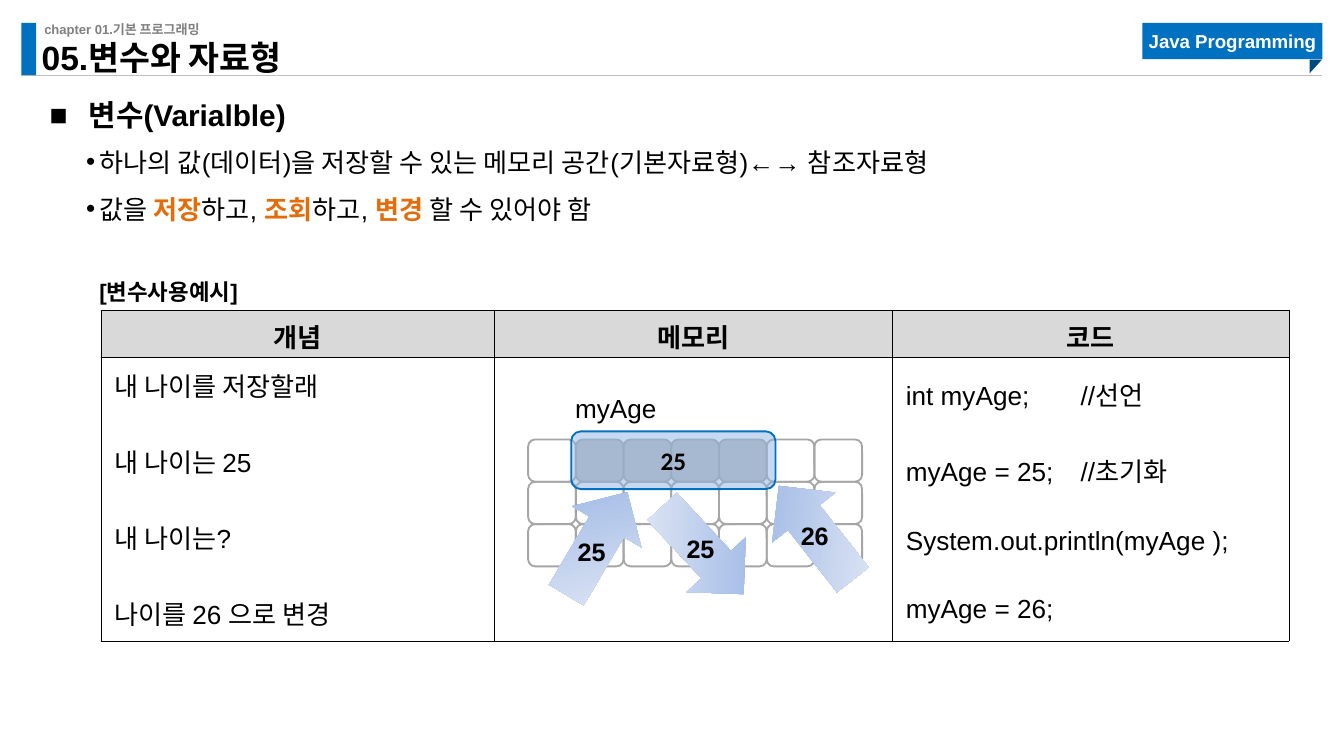
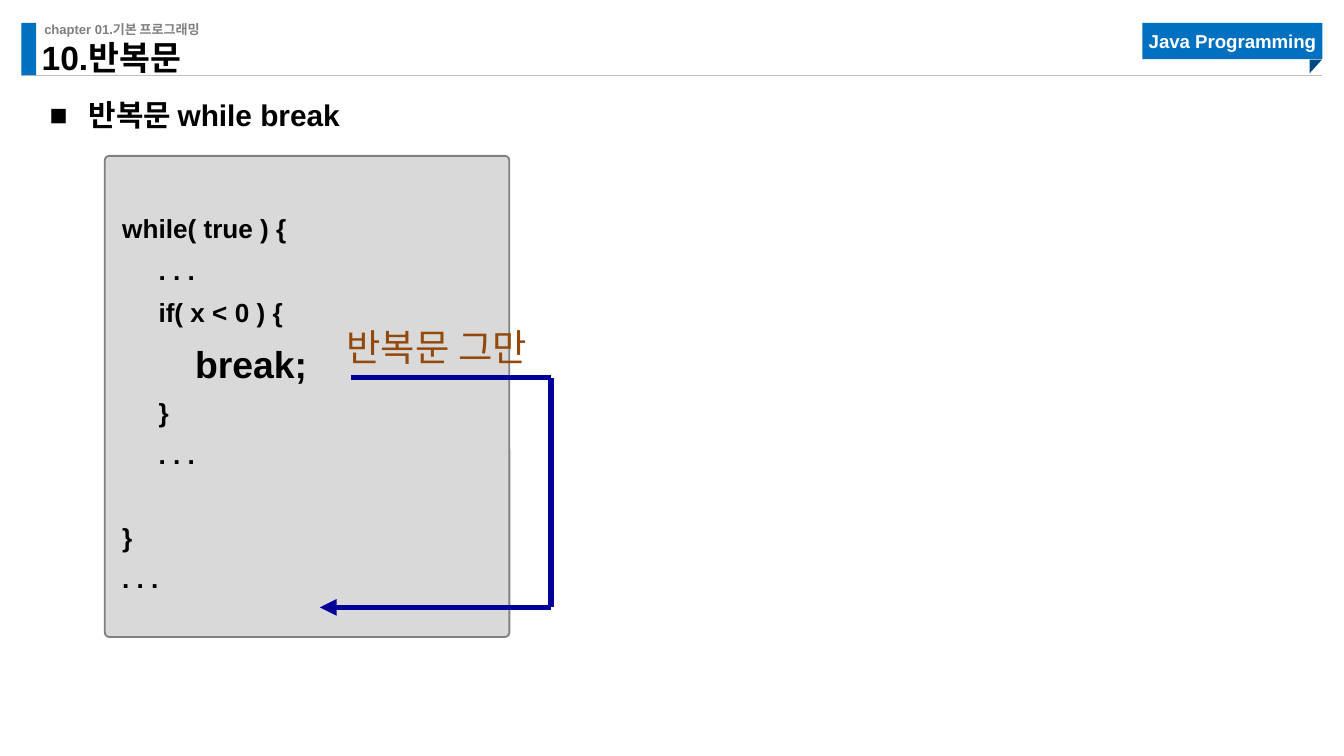
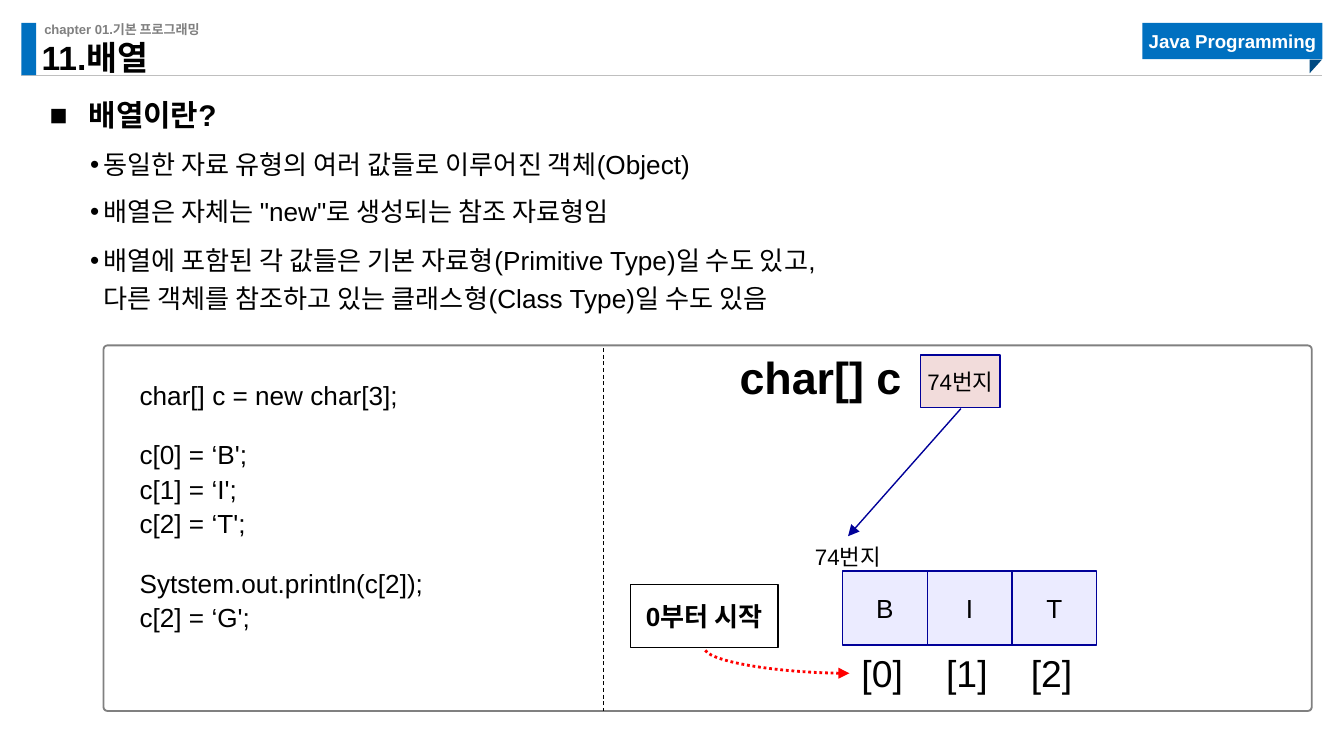
from pptx import Presentation
from pptx.dml.color import RGBColor
from pptx.enum.dml import MSO_LINE
from pptx.enum.shapes import MSO_CONNECTOR, MSO_SHAPE
from pptx.enum.text import MSO_ANCHOR, PP_ALIGN
from pptx.oxml.ns import qn
from pptx.util import Inches, Pt
from lxml import etree

RECT, ROUND = MSO_SHAPE.RECTANGLE, MSO_SHAPE.ROUNDED_RECTANGLE
TRIANGLE, DOWN_ARROW = MSO_SHAPE.RIGHT_TRIANGLE, MSO_SHAPE.DOWN_ARROW
STRAIGHT, CURVE = MSO_CONNECTOR.STRAIGHT, MSO_CONNECTOR.CURVE
DASH, DOTS = MSO_LINE.DASH, MSO_LINE.ROUND_DOT
LEFT, CENTER = PP_ALIGN.LEFT, PP_ALIGN.CENTER
TOP, MIDDLE, BOTTOM = MSO_ANCHOR.TOP, MSO_ANCHOR.MIDDLE, MSO_ANCHOR.BOTTOM

BLACK = RGBColor(0x00, 0x00, 0x00)
WHITE = RGBColor(0xFF, 0xFF, 0xFF)
BLUE = RGBColor(0x00, 0x70, 0xC0)
DARK_BLUE = RGBColor(0x00, 0x4A, 0x82)
NAVY = RGBColor(0x00, 0x00, 0x99)
GRAY = RGBColor(0x80, 0x80, 0x80)
CELL_LINE = RGBColor(0xA6, 0xA6, 0xA6)
RULE_GRAY = RGBColor(0xBF, 0xBF, 0xBF)
PANEL_GRAY = RGBColor(0xD9, 0xD9, 0xD9)
ORANGE = RGBColor(0xE4, 0x6C, 0x0A)
BROWN = RGBColor(0x93, 0x49, 0x0B)
RED = RGBColor(0xFF, 0x00, 0x00)
SKY = RGBColor(0x8E, 0xB4, 0xE3)
ARROW_DARK = RGBColor(0x9A, 0xB5, 0xE4)
ARROW_LIGHT = RGBColor(0xE1, 0xE8, 0xF5)
LAVENDER = RGBColor(0xEB, 0xEB, 0xFF)
PINK = RGBColor(0xF2, 0xDC, 0xDB)

FONT, KOREAN_FONT = "Arial", "Noto Sans CJK KR"
NO_INSET = (0, 0, 0, 0)
BOX_INSET = (0.1, 0.05, 0.1, 0.05)
SQUARE_BULLET = ("■", 0.29, -0.29)
DOT_BULLET = ("•", 0.4, -0.1)

# Content
CHAPTER = "chapter 01.기본 프로그래밍"
COURSE = "Java Programming"

KEYWORD = {"color": ORANGE, "bold": True}
VARIABLE_POINTS = [
    "하나의 값(데이터)을 저장할 수 있는 메모리 공간(기본자료형)←→ 참조자료형",
    ["값을 ", ("저장", KEYWORD), "하고, ", ("조회", KEYWORD), "하고, ",
     ("변경", KEYWORD), " 할 수 있어야 함"],
]
TABLE_HEAD = ["개념", "메모리", "코드"]
TABLE_WIDTHS = [2.93, 2.96, 2.95]
TABLE_HEIGHTS = [0.35, 2.11]
CONCEPTS = ["내 나이를 저장할래", "내 나이는 25", "내 나이는?", "나이를 26 으로 변경"]
STATEMENTS = ["int myAge;\t//선언", "myAge = 25;\t//초기화",
              "System.out.println(myAge );", "myAge = 26;"]
# arrow left, top, rotation; label, label left, label top
VALUE_ARROWS = [
    (4.14, 3.6, 210.7, "25", 4.2, 3.94),
    (4.93, 3.65, 317.1, "25", 5.01, 3.92),
    (5.77, 3.52, 141.8, "26", 5.86, 3.82),
]

WHILE_CODE = [
    "while( true ) {",
    "     . . .",
    "     if( x < 0 ) {",
    {"runs": ["          ", ("break;", {"size": 20})], "before": 10},
    "     }",
    "     . . .",
    {"runs": "}", "before": 29},
    ". . .",
]

ARRAY_POINTS = [
    "동일한 자료 유형의 여러 값들로 이루어진 객체(Object)",
    "배열은 자체는 \"new\"로 생성되는 참조 자료형임",
    {"runs": "배열에 포함된 각 값들은 기본 자료형(Primitive Type)일 수도 있고,\n"
             "다른 객체를 참조하고 있는 클래스형(Class Type)일 수도 있음",
     "spacing": 1.2, "before": 6},
]
ARRAY_CODE = [
    {"runs": "char[] c = new char[3];", "spacing": 1.0},
    {"runs": "c[0] = ‘B';", "before": 13.5},
    "c[1] = ‘I';",
    "c[2] = ‘T';",
    {"runs": "Sytstem.out.println(c[2]);", "before": 13.5},
    "c[2] = ‘G';",
]
ARRAY_VALUES = "BIT"


# Text
def add_run(p, text, size, bold, color, font):
    r = p.add_run()
    r.text = text
    r.font.size, r.font.bold = Pt(size), bold
    r.font.color.rgb = color
    r.font.name = font


def set_bullet(p, char, margin, indent):
    pPr = p._p.get_or_add_pPr()
    pPr.set("marL", str(Inches(margin)))
    pPr.set("indent", str(Inches(indent)))
    etree.SubElement(pPr, qn("a:buFont"), typeface=FONT)
    etree.SubElement(pPr, qn("a:buChar"), char=char)


def set_tab(p, position):
    tabs = etree.SubElement(p._p.get_or_add_pPr(), qn("a:tabLst"))
    etree.SubElement(tabs, qn("a:tab"), pos=str(Inches(position)), algn="l")


def write(tf, paras, size=14, bold=False, color=BLACK, font=FONT, align=LEFT,
          spacing=None, before=0, bullet=None, tab=None):
    """A paragraph is a string, a list of runs, or a dict with its own spacing."""
    style = {"size": size, "bold": bold, "color": color, "font": font}
    for i, para in enumerate([paras] if isinstance(paras, str) else paras):
        p = tf.paragraphs[0] if i == 0 else tf.add_paragraph()
        para = para if isinstance(para, dict) else {"runs": para}
        if bullet:
            set_bullet(p, *bullet)
        if tab:
            set_tab(p, tab)
        p.alignment = align
        if para.get("spacing", spacing):
            p.line_spacing = para.get("spacing", spacing)
        p.space_before = Pt(para.get("before", before) if i else 0)
        runs = para["runs"]
        for run in [runs] if isinstance(runs, str) else runs:
            text, own = (run, {}) if isinstance(run, str) else run
            for n, line in enumerate(text.split("\n")):
                if n:
                    p.add_line_break()
                add_run(p, line, **{**style, **own})


def set_frame(tf, inset=BOX_INSET, anchor=TOP, wrap=True):
    tf.margin_left, tf.margin_top, tf.margin_right, tf.margin_bottom = map(Inches, inset)
    tf.vertical_anchor, tf.word_wrap = anchor, wrap


def add_text(s, at, paras, inset=BOX_INSET, anchor=TOP, wrap=True, **style):
    tf = s.shapes.add_textbox(*map(Inches, at)).text_frame
    set_frame(tf, inset, anchor, wrap)
    write(tf, paras, **style)


# Shapes and lines
def add_box(s, kind, at, fill=None, line=None, weight=0.75, radius=None):
    sp = s.shapes.add_shape(kind, *map(Inches, at))
    sp.shadow.inherit = False
    if fill is None:
        sp.fill.background()
    else:
        sp.fill.solid()
        sp.fill.fore_color.rgb = fill
    if line is None:
        sp.line.fill.background()
    else:
        sp.line.color.rgb, sp.line.width = line, Pt(weight)
    if radius is not None:
        sp.adjustments[0] = radius
    return sp


def add_label_box(s, at, text, fill=None, line=None, **style):
    sp = add_box(s, RECT, at, fill, line)
    set_frame(sp.text_frame, NO_INSET, MIDDLE, wrap=False)
    write(sp.text_frame, text, align=CENTER, **style)


def add_line(s, start, end, color, weight, dash=None, arrow=None, kind=STRAIGHT):
    c = s.shapes.add_connector(kind, *map(Inches, start + end))
    c.line.color.rgb, c.line.width = color, Pt(weight)
    if dash:
        c.line.dash_style = dash
    if arrow:
        etree.SubElement(c.line._get_or_add_ln(), qn("a:" + arrow), type="triangle")
    etree.SubElement(c._element.spPr, qn("a:effectLst"))
    return c


# Band, title and heading of every slide
def add_slide(prs, title, heading):
    s = prs.slides.add_slide(prs.slide_layouts[6])
    add_line(s, (0.16, 0.56), (9.84, 0.56), RULE_GRAY, 0.5)
    add_box(s, RECT, (0.16, 0.17, 0.11, 0.39), BLUE)
    add_text(s, (0.33, 0.16, 3.23, 0.12), CHAPTER, NO_INSET, size=7, bold=True, color=GRAY)
    add_label_box(s, (8.5, 0.17, 1.34, 0.27), COURSE, BLUE, size=10, bold=True, color=WHITE)
    add_box(s, TRIANGLE, (9.74, 0.45, 0.1, 0.09), DARK_BLUE).rotation = 90
    add_text(s, (0.31, 0.35, 3.3, 0.23), title, NO_INSET, BOTTOM,
             size=18, bold=True, spacing=0.9)
    add_text(s, (0.37, 0.59, 9.54, 0.33), heading, NO_INSET,
             size=16, bold=True, spacing=1.5, bullet=SQUARE_BULLET)
    return s


# Slide 1
def style_cell(cell, fill=None):
    cell.vertical_anchor = MIDDLE
    tcPr = cell._tc.get_or_add_tcPr()
    for side in ("lnL", "lnR", "lnT", "lnB"):
        ln = etree.SubElement(tcPr, qn("a:" + side), w=str(Pt(0.25)))
        color = etree.SubElement(ln, qn("a:solidFill"))
        etree.SubElement(color, qn("a:srgbClr"), val=str(BLACK))
    if fill is None:
        cell.fill.background()
    else:
        cell.fill.solid()
        cell.fill.fore_color.rgb = fill


def add_example_table(s):
    frame = s.shapes.add_table(2, 3, *map(Inches, (0.75, 2.31, 8.84, 2.46)))
    table = frame.table
    table.first_row = table.horz_banding = False
    for row, height in zip(table.rows, TABLE_HEIGHTS):
        row.height = Inches(height)
    for i, (head, width) in enumerate(zip(TABLE_HEAD, TABLE_WIDTHS)):
        table.columns[i].width = Inches(width)
        style_cell(table.cell(0, i), PANEL_GRAY)
        write(table.cell(0, i).text_frame, head, bold=True, align=CENTER)
        style_cell(table.cell(1, i))
    write(table.cell(1, 0).text_frame, CONCEPTS, before=20.4)
    write(table.cell(1, 2).text_frame, STATEMENTS, before=20.4, tab=1.3)


def add_memory(s):
    left, top, width, height = 3.93, 3.27, 0.355, 0.315
    for row in range(3):
        for col in range(7):
            used = row == 0 and 1 <= col <= 4
            add_box(s, ROUND, (left + col * width, top + row * height, width, height),
                    RULE_GRAY if used else None, CELL_LINE, 1)
    add_text(s, (4.18, 2.87, 0.82, 0.34), "myAge", wrap=False)
    variable = add_box(s, ROUND, (4.25, 3.21, 1.52, 0.43), SKY, BLUE, 1)
    color = variable._element.spPr.find(qn("a:solidFill"))[0]
    etree.SubElement(color, qn("a:alpha"), val="50000")
    set_frame(variable.text_frame, anchor=MIDDLE)
    write(variable.text_frame, "25", size=13.5, bold=True, font="Calibri", align=CENTER)
    for x, y, rotation, value, label_x, label_y in VALUE_ARROWS:
        arrow = add_box(s, DOWN_ARROW, (x, y, 0.6, 0.89))
        arrow.rotation = rotation
        arrow.fill.gradient()
        arrow.fill.gradient_angle = 135
        for stop, shade in zip(arrow.fill.gradient_stops, (ARROW_DARK, ARROW_LIGHT)):
            stop.color.rgb = shade
        add_text(s, (label_x, label_y, 0.49, 0.4), value, wrap=False, size=13.5, bold=True)


def variable_slide(prs):
    s = add_slide(prs, "05.변수와 자료형", "변수(Varialble)")
    add_example_table(s)
    add_memory(s)
    add_text(s, (0.64, 2.02, 1.72, 0.3), "[변수사용예시]", size=12, bold=True)
    add_text(s, (0.34, 0.92, 7.48, 0.79), VARIABLE_POINTS, (0, 0.05, 0.1, 0.05),
             spacing=1.5, bullet=DOT_BULLET)


# Slide 2
def loop_slide(prs):
    s = add_slide(prs, "10.반복문", "반복문 while break")
    panel = add_box(s, ROUND, (0.78, 1.16, 3.01, 3.58), PANEL_GRAY, GRAY, 1, 0.011)
    set_frame(panel.text_frame, (0.12, 0.44, 0.12, 0.12))
    write(panel.text_frame, WHILE_CODE, bold=True, spacing=0.9, before=7.2)

    # Way out of the loop
    right, top, bottom = 4.1, 2.81, 4.52
    add_line(s, (2.61, top), (right, top), NAVY, 3)
    add_line(s, (right, bottom), (right, top), NAVY, 3)
    add_line(s, (right, bottom), (2.38, bottom), NAVY, 3, arrow="tailEnd")
    add_text(s, (2.48, 2.38, 1.93, 0.39), "반복문 그만", anchor=MIDDLE,
             size=20, color=BROWN, font=KOREAN_FONT)


# Slide 3
def array_slide(prs):
    s = add_slide(prs, "11.배열", "배열이란?")
    add_text(s, (0.37, 0.99, 9.54, 1.41), ARRAY_POINTS, NO_INSET,
             spacing=1.5, bullet=DOT_BULLET)

    # Array cells and their indexes
    left, width = 6.27, 0.63
    for i, value in enumerate(ARRAY_VALUES):
        x = left + i * width
        add_label_box(s, (x, 4.25, width, 0.55), value, LAVENDER, NAVY)
        add_text(s, (x + 0.06, 4.84, 0.47, 0.33), f"[{i}]", NO_INSET, size=20, align=CENTER)
    add_label_box(s, (4.69, 4.35, 1.1, 0.47), "0부터 시작", line=BLACK, bold=True)
    curve = add_line(s, (5.24, 4.82), (6.32, 5.01), RED, 1.5, DOTS, "headEnd", CURVE)
    spPr = curve._element.spPr
    spPr.find(qn("a:xfrm")).set("rot", str(180 * 60000))
    spPr.find(qn("a:prstGeom")).set("prst", "curvedConnector2")

    # Code and reference variable
    add_text(s, (0.94, 2.77, 3.22, 1.98), ARRAY_CODE, spacing=1.1)
    add_text(s, (5.17, 2.6, 1.87, 0.4), "char[] c", NO_INSET, size=24, bold=True, align=CENTER)
    add_box(s, ROUND, (0.77, 2.57, 8.99, 2.72), line=GRAY, weight=1, radius=0.011)
    add_label_box(s, (6.85, 2.64, 0.59, 0.39), "74번지", PINK, NAVY, size=12)
    add_text(s, (5.96, 3.99, 0.7, 0.3), "74번지", size=12, align=CENTER)
    add_line(s, (4.49, 2.59), (4.49, 5.29), BLACK, 0.5, DASH)
    add_line(s, (7.15, 3.04), (6.31, 3.99), NAVY, 0.75, arrow="tailEnd")


def main():
    prs = Presentation()
    prs.slide_width = Inches(10)
    prs.slide_height = prs.slide_width * 9 // 16
    variable_slide(prs)
    loop_slide(prs)
    array_slide(prs)
    prs.save("out.pptx")


if __name__ == "__main__":
    main()
